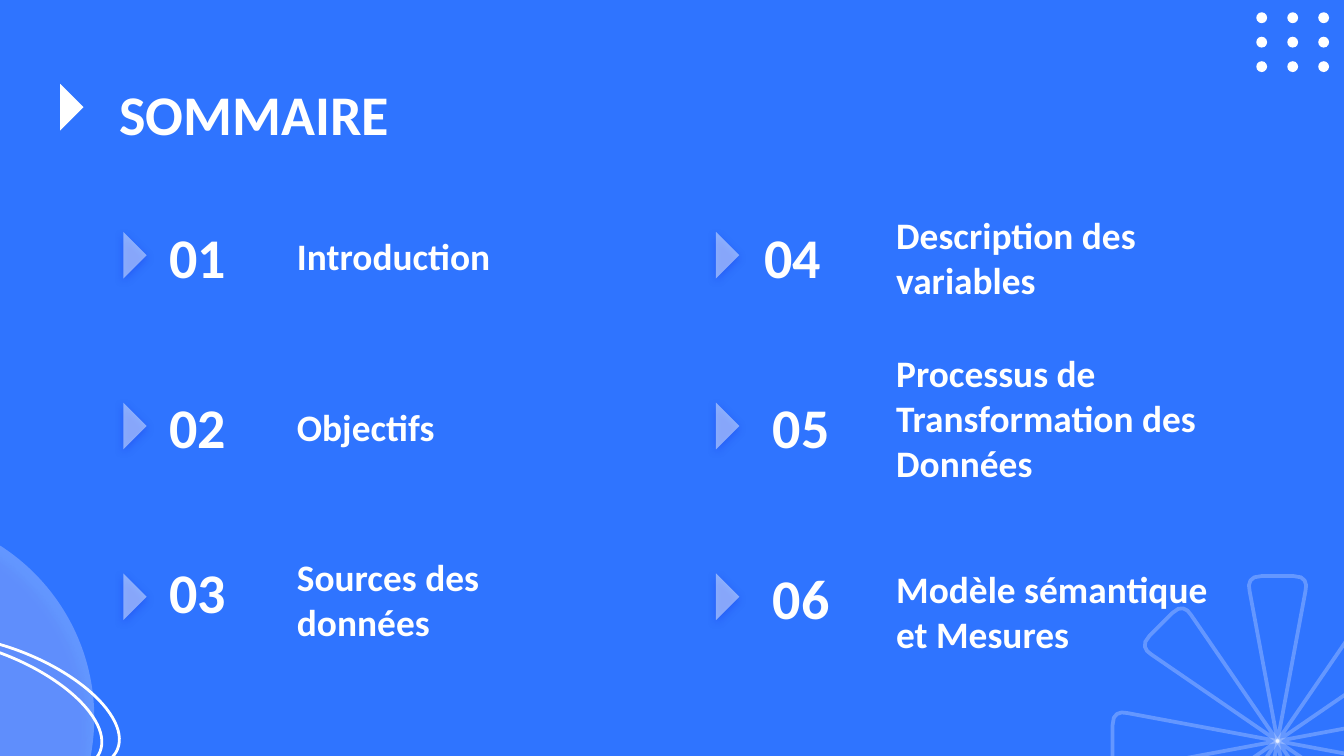
import math

from lxml import etree
from pptx import Presentation
from pptx import util as u
from pptx.dml.color import RGBColor
from pptx.enum import shapes, text
from pptx.oxml import ns

BLUE = RGBColor(0x2F, 0x74, 0xFF)
WHITE = RGBColor(0xFF, 0xFF, 0xFF)
SHADOW = RGBColor(0x0F, 0x27, 0xE6)
OVAL = shapes.MSO_SHAPE.OVAL
TRIANGLE = shapes.MSO_SHAPE.ISOSCELES_TRIANGLE
ANCHOR = text.MSO_ANCHOR

ROW_TOP, ROW_PITCH = 118, 91.5
ARROW_X = (59.8, 377.3)
LABEL_X = (152, 473)

# Number, number left, number top shift, number height, label, label height
COLUMNS = (
    (
        ("01", 83.5, 0, 38, "Introduction", 38),
        ("02", 83.5, 0, 38, "Objectifs", 38),
        ("03", 83.5, -7, 45, "Sources des données", 51),
    ),
    (
        ("04", 402.5, 0, 38, "Description des variables", 51),
        ("05", 407, 0, 38, "Processus de Transformation des Données", 57.5),
        ("06", 407, 0, 38, "Modèle sémantique et Mesures", 57.5),
    ),
)

# Half of a petal: distance from the hub, distance from the petal's axis
PETAL_SIDE = ((80.5, 15), (83.5, 15.3), (86, 14.5), (87.7, 12.5), (88.4, 8.5))


def set_alpha(fill, percent):
    color = fill._xPr.find(".//" + ns.qn("a:srgbClr"))
    etree.SubElement(color, ns.qn("a:alpha"), val=str(percent * 1000))


def add_shadow(shape, alpha, blur, distance, angle):
    effects = shape._element.spPr.find(ns.qn("a:effectLst"))
    outer = etree.SubElement(
        effects, ns.qn("a:outerShdw"), blurRad=str(u.Pt(blur)),
        dist=str(u.Pt(distance)), dir=str(angle * 60000),
        algn="bl", rotWithShape="0")
    color = etree.SubElement(outer, ns.qn("a:srgbClr"), val=str(SHADOW))
    etree.SubElement(color, ns.qn("a:alpha"), val=str(alpha * 1000))


def add_solid(slide, kind, box, rotation=0, alpha=100):
    solid = slide.shapes.add_shape(kind, *map(u.Pt, box))
    solid.rotation = rotation
    solid.shadow.inherit = False
    solid.fill.solid()
    solid.fill.fore_color.rgb = WHITE
    solid.line.fill.background()
    if alpha < 100:
        set_alpha(solid.fill, alpha)
    return solid


def outline(shape, width):
    shape.shadow.inherit = False
    shape.fill.background()
    shape.line.color.rgb = WHITE
    shape.line.width = u.Pt(width)


def add_text(slide, box, words, size, anchor):
    frame = slide.shapes.add_textbox(*map(u.Pt, box)).text_frame
    margin = u.Pt(7.2)
    layout = {"word_wrap": True, "vertical_anchor": anchor,
              "margin_left": margin, "margin_right": margin,
              "margin_top": margin, "margin_bottom": margin}
    for name, value in layout.items():
        setattr(frame, name, value)
    run = frame.paragraphs[0].add_run()
    run.text = words
    for name, value in {"name": "Calibri", "size": u.Pt(size), "bold": True}.items():
        setattr(run.font, name, value)
    run.font.color.rgb = WHITE


def add_flower(slide, hub_x, hub_y):
    half = list(PETAL_SIDE)
    profile = half + [(along, -across) for along, across in reversed(half)]
    hub = (u.Pt(hub_x), u.Pt(hub_y))
    builder = slide.shapes.build_freeform(*hub)
    for petal in range(8):
        angle = petal * math.pi / 4
        cos, sin = math.cos(angle), math.sin(angle)
        if petal:
            builder.move_to(*hub)
        builder.add_line_segments([
            (u.Pt(hub_x + along * cos - across * sin),
             u.Pt(hub_y + along * sin + across * cos))
            for along, across in profile], close=True)
    flower = builder.convert_to_shape()
    outline(flower, 2)
    set_alpha(flower.line.fill, 25)


def add_decor(slide):
    # Tinted disc in the lower left corner
    disc = add_solid(slide, OVAL, (-168.5, 275, 219, 219), 229, 25)
    add_shadow(disc, 50, 4.5, 6.8, 122)
    # Dot grid in the upper right corner
    for row in range(3):
        for column in range(3):
            add_solid(slide, OVAL, (673 + 16.6 * column, 6.6 + 13.1 * row, 5.8, 5.8))
    add_flower(slide, 684.4, 397)
    # Crossing rings over the disc
    for left, top in ((-72, 349.2), (-62.6, 347.8)):
        ring = slide.shapes.add_shape(OVAL, *map(u.Pt, (left, top, 130.3, 58.3)))
        ring.rotation = 21.9
        outline(ring, 1.5)


def add_entry(slide, column, row, entry):
    number, number_x, shift, number_height, label, label_height = entry
    top = ROW_TOP + ROW_PITCH * row
    arrow = add_solid(slide, TRIANGLE, (ARROW_X[column], top + 12.5, 25, 12.5), 90, 45)
    add_shadow(arrow, 66, 4.5, 1.5, 90)
    add_text(slide, (number_x, top + shift, 57.6, number_height), number, 30, ANCHOR.MIDDLE)
    add_text(slide, (LABEL_X[column], top, 181.5, label_height), label, 20, ANCHOR.BOTTOM)


def main():
    deck = Presentation()
    deck.slide_width, deck.slide_height = u.Pt(720), u.Pt(405)
    slide = deck.slides.add_slide(deck.slide_layouts[6])
    slide.background.fill.solid()
    slide.background.fill.fore_color.rgb = BLUE
    add_decor(slide)

    # Heading
    add_text(slide, (56.8, 35.3, 607, 45.4), "SOMMAIRE", 30, ANCHOR.TOP)
    add_solid(slide, TRIANGLE, (26, 51.2, 25, 12.5), 90)

    # Contents in two columns
    for column, entries in enumerate(COLUMNS):
        for row, entry in enumerate(entries):
            add_entry(slide, column, row, entry)
    deck.save("out.pptx")


if __name__ == "__main__":
    main()
